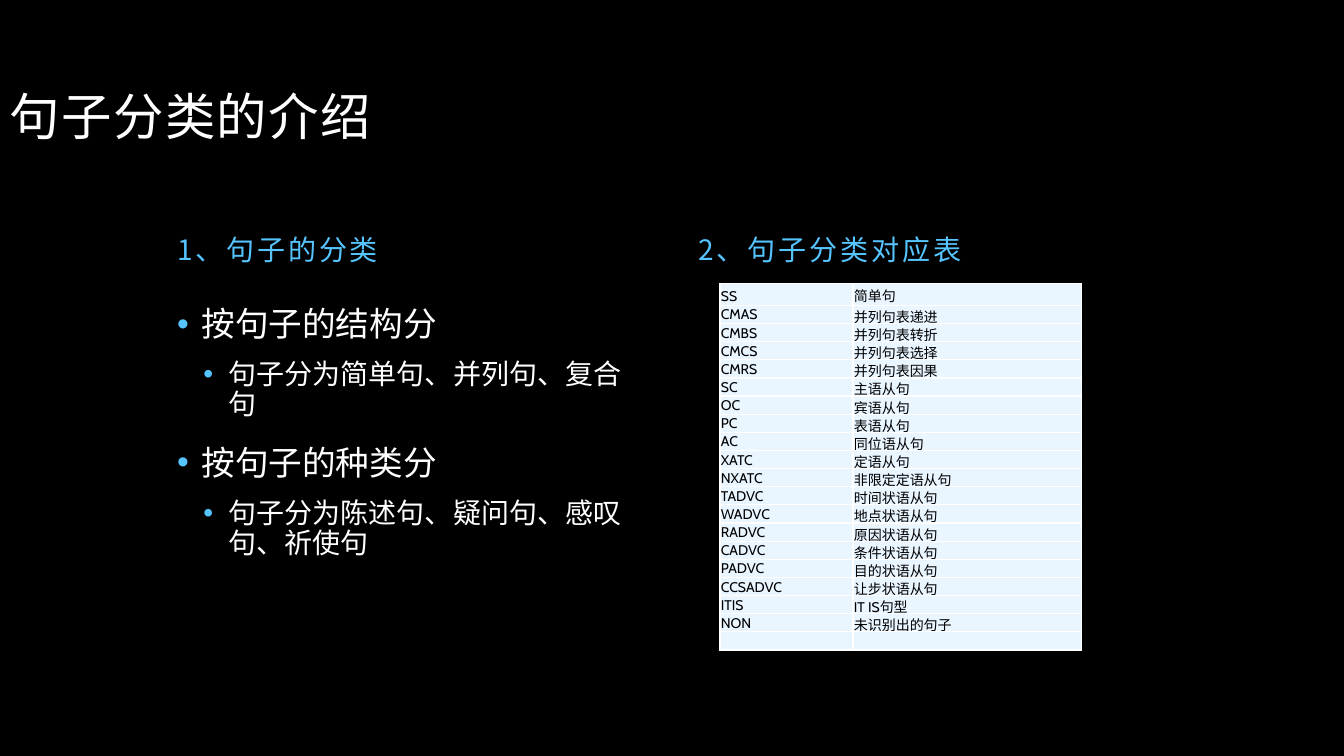
from lxml import etree
from pptx import Presentation
from pptx import util as u
from pptx.dml.color import RGBColor
from pptx.enum import text
from pptx.oxml import ns

COLORS = {"background": "000000", "text": "FFFFFF", "accent": "56C5FF",
          "cell": "E9F5FF", "cell_text": "000000", "border": "FFFFFF"}
CJK_FONT = "Noto Sans CJK SC"
LATIN_FONT = "Cabin"

CATEGORIES = [
    ("按句子的结构分", "句子分为简单句、并列句、复合句"),
    ("按句子的种类分", "句子分为陈述句、疑问句、感叹句、祈使句"),
]
SENTENCE_CODES = [
    ("SS", "简单句"), ("CMAS", "并列句表递进"), ("CMBS", "并列句表转折"),
    ("CMCS", "并列句表选择"), ("CMRS", "并列句表因果"), ("SC", "主语从句"),
    ("OC", "宾语从句"), ("PC", "表语从句"), ("AC", "同位语从句"),
    ("XATC", "定语从句"), ("NXATC", "非限定定语从句"), ("TADVC", "时间状语从句"),
    ("WADVC", "地点状语从句"), ("RADVC", "原因状语从句"), ("CADVC", "条件状语从句"),
    ("PADVC", "目的状语从句"), ("CCSADVC", "让步状语从句"), ("ITIS", "IT IS句型"),
    ("NON", "未识别出的句子"), ("", ""),
]


def color(name):
    return RGBColor.from_string(COLORS[name])


def add_element(parent, tag, **attributes):
    return etree.SubElement(parent, ns.qn(tag), attributes)


def write(para, words, size, ink="text", font=CJK_FONT, tracking=0):
    span = para.add_run()
    span.text = words
    span.font.size = u.Pt(size)
    span.font.name = font
    span.font.color.rgb = color(ink)
    properties = span.font._element
    add_element(properties, "a:ea", typeface=CJK_FONT)
    if tracking:
        properties.set("spc", str(tracking * 100))


def add_frame(page, left, top, width, height, anchor):
    box = page.shapes.add_textbox(u.Inches(left), u.Inches(top), u.Inches(width), u.Inches(height))
    frame = box.text_frame
    frame.word_wrap = True
    frame.vertical_anchor = anchor
    return frame


def add_heading(page, left, top, width, height, words, size, anchor=text.MSO_ANCHOR.MIDDLE, **style):
    para = add_frame(page, left, top, width, height, anchor).paragraphs[0]
    para.line_spacing = 0.9
    write(para, words, size, **style)


def add_bullets(page, left, top, width, height):
    frame = add_frame(page, left, top, width, height, text.MSO_ANCHOR.TOP)
    levels = [(0.24, 0.24, 18, 24), (0.51, 0.25, 12, 20)]
    lines = [(level, words) for category in CATEGORIES for level, words in enumerate(category)]
    for index, (level, words) in enumerate(lines):
        indent, hanging, space, size = levels[level]
        para = frame.add_paragraph() if index else frame.paragraphs[0]
        para.level = level
        para.line_spacing = 0.9
        para.space_before = u.Pt(space)
        properties = para._p.get_or_add_pPr()
        properties.set("marL", str(u.Inches(indent)))
        properties.set("indent", str(-u.Inches(hanging)))
        bullet_color = add_element(properties, "a:buClr")
        add_element(bullet_color, "a:srgbClr", val=COLORS["accent"])
        add_element(properties, "a:buFont", typeface="Arial")
        add_element(properties, "a:buChar", char="•")
        write(para, words, size)


def format_cell(cell, words):
    cell.margin_left = cell.margin_right = cell.margin_top = u.Inches(0.01)
    cell.margin_bottom = 0
    cell.vertical_anchor = text.MSO_ANCHOR.BOTTOM
    cell.fill.solid()
    cell.fill.fore_color.rgb = color("cell")
    properties = cell._tc.get_or_add_tcPr()
    for index, side in enumerate(("a:lnL", "a:lnR", "a:lnT", "a:lnB")):
        line = add_element(properties, side, w=str(u.Pt(1)))
        fill = add_element(line, "a:solidFill")
        add_element(fill, "a:srgbClr", val=COLORS["border"])
        properties.insert(index, line)
    para = cell.text_frame.paragraphs[0]
    if words:
        write(para, words, 10, ink="cell_text", font=LATIN_FONT)
    else:
        ending = add_element(para._p, "a:endParaRPr", sz="1000")
        add_element(ending, "a:latin", typeface=LATIN_FONT)


def add_code_table(page, left, top, width, height):
    frame = page.shapes.add_table(len(SENTENCE_CODES), 2, u.Inches(left), u.Inches(top),
                                  u.Inches(width), u.Inches(height))
    table = frame.table
    table.first_row = False
    table.horz_banding = False
    code_width = 1.32
    table.columns[0].width = u.Inches(code_width)
    table.columns[1].width = u.Inches(width - code_width)
    for index, (row, entry) in enumerate(zip(table.rows, SENTENCE_CODES)):
        row.height = u.Inches(0.18 if index else 0.22)
        for cell, words in zip(row.cells, entry):
            format_cell(cell, words)


def build_slide(deck):
    page = deck.slides.add_slide(deck.slide_layouts[6])
    page.background.fill.solid()
    page.background.fill.fore_color.rgb = color("background")
    add_heading(page, 0, 0, 10, 1.5, "句子分类的介绍", 36, anchor=text.MSO_ANCHOR.BOTTOM, tracking=1)
    for left, words in ((1.66, "1、句子的分类"), (6.83, "2、句子分类对应表")):
        add_heading(page, left, 2.08, 4.83, 0.83, words, 20, ink="accent", tracking=2)
    add_bullets(page, 1.66, 3, 4.83, 3.58)
    add_code_table(page, 7.14, 2.81, 3.59, 3.6)


def main():
    deck = Presentation()
    deck.slide_width = u.Inches(13.33)
    deck.slide_height = u.Inches(7.5)
    build_slide(deck)
    deck.save("out.pptx")


if __name__ == "__main__":
    main()
